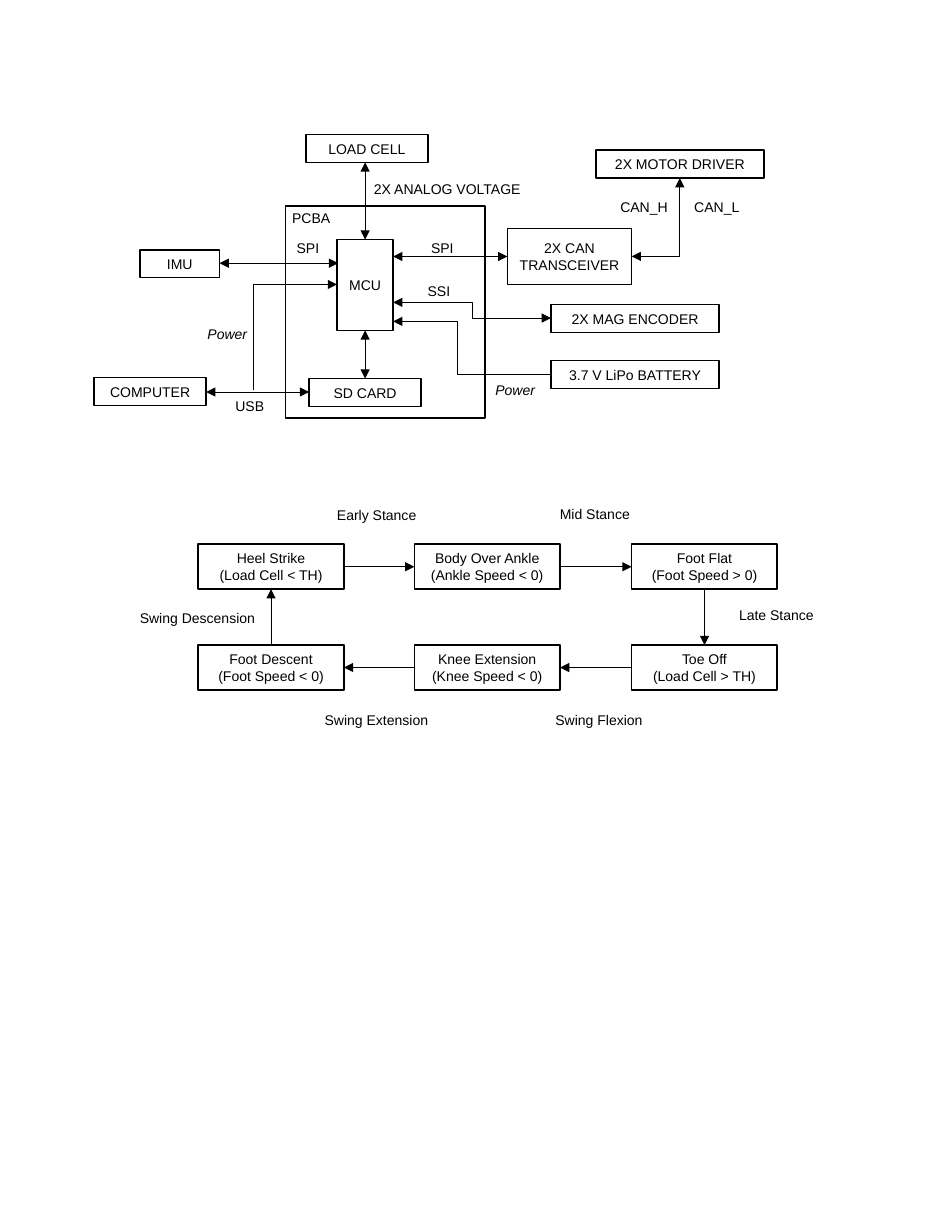
from dataclasses import dataclass

from lxml import etree
from pptx import Presentation
from pptx import util as u
from pptx.dml import color
from pptx.enum import shapes, text
from pptx.oxml import ns


@dataclass
class Theme:
    """Colours, type and line weights."""
    ink: color.RGBColor = color.RGBColor(0, 0, 0)
    font: str = "Arial"
    size: u.Pt = u.Pt(9)
    edge: u.Pt = u.Pt(1)
    wire: u.Pt = u.Pt(0.5)


T = Theme()
KINDS = shapes.MSO_CONNECTOR


def write(frame, words, center=False, italic=False, wrap=True):
    """Put styled words in a text frame."""
    frame.word_wrap = wrap
    para = frame.paragraphs[0]
    para.text = words
    para.alignment = text.PP_ALIGN.CENTER if center else text.PP_ALIGN.LEFT
    for run in para.runs:
        run.font.name = T.font
        run.font.size = T.size
        run.font.italic = italic
        run.font.color.rgb = T.ink


def box(slide, words, x, y, w, h=0.25):
    """Draw an outlined box with centred words."""
    rect = slide.shapes.add_shape(
        shapes.MSO_SHAPE.RECTANGLE, *map(u.Inches, (x, y, w, h)))
    rect.shadow.inherit = False
    rect.fill.background()
    rect.line.color.rgb = T.ink
    rect.line.width = T.edge
    if words:
        frame = rect.text_frame
        frame.margin_left = frame.margin_right = 0
        frame.vertical_anchor = text.MSO_ANCHOR.MIDDLE
        write(frame, words, center=True)


def label(slide, words, x, y, w, **form):
    """Place free words on the slide."""
    area = slide.shapes.add_textbox(*map(u.Inches, (x, y, w, 0.25)))
    area.text_frame.auto_size = text.MSO_AUTO_SIZE.SHAPE_TO_FIT_TEXT
    write(area.text_frame, words, **form)


def arrow(slide, start, end, ends=("head", "tail"), kind=KINDS.STRAIGHT):
    """Join two points, with arrowheads at the named ends."""
    link = slide.shapes.add_connector(kind, *map(u.Inches, (*start, *end)))
    link.line.color.rgb = T.ink
    link.line.width = T.wire
    line = link.line._get_or_add_ln()
    for name in ends:
        etree.SubElement(line, ns.qn(f"a:{name}End"), type="triangle")
    etree.SubElement(link._element.spPr, ns.qn("a:effectLst"))
    return link


def bend(slide, start, end, ends=("head", "tail"), turn=None):
    """Join two points by an elbow; turn is the share of its middle leg."""
    link = arrow(slide, start, end, ends, KINDS.ELBOW)
    geom = link._element.spPr.find(ns.qn("a:prstGeom"))
    if turn is None:
        geom.set("prst", "bentConnector2")
        return
    list_ = geom.find(ns.qn("a:avLst"))
    if list_ is None:
        list_ = etree.SubElement(geom, ns.qn("a:avLst"))
    etree.SubElement(list_, ns.qn("a:gd"), name="adj1",
                     fmla=f"val {round(turn * 100000)}")


def wiring(slide):
    """Draw the block diagram of the board."""
    for part in (
        ("MCU", 3.01, 2.14, 0.5, 0.81),
        ("2X MOTOR DRIVER", 5.32, 1.34, 1.5),
        ("IMU", 1.25, 2.23, 0.71),
        ("SD CARD", 2.76, 3.38, 1),
        ("COMPUTER", 0.84, 3.37, 1),
        ("", 2.55, 1.84, 1.78, 1.89),
        ("2X MAG ENCODER", 4.92, 2.72, 1.5),
        ("2X CAN\nTRANSCEIVER", 4.53, 2.04, 1.11, 0.5),
        ("LOAD CELL", 2.73, 1.2, 1.09),
        ("3.7 V LiPo BATTERY", 4.92, 3.22, 1.5),
    ):
        box(slide, *part)
    for start, end in (
        ((3.26, 2.95), (3.26, 3.38)),
        ((1.84, 3.5), (2.76, 3.5)),
        ((1.96, 2.35), (3.02, 2.35)),
        ((4.53, 2.29), (3.51, 2.29)),
        ((3.26, 1.45), (3.26, 2.14)),
    ):
        arrow(slide, start, end)
    bend(slide, (3.51, 2.7), (4.92, 2.84), turn=0.5)
    bend(slide, (4.92, 3.34), (3.51, 2.87), ["tail"], turn=0.59)
    bend(slide, (3.01, 2.54), (2.26, 3.48), ["head"])
    bend(slide, (5.64, 2.29), (6.07, 1.59))
    for name in (
        ("CAN_H", 5.44, 1.72, 0.63),
        ("CAN_L", 6.1, 1.72, 0.63),
        ("SSI", 3.72, 2.47, 0.41),
        ("SPI", 2.55, 2.09, 0.41),
        ("SPI", 3.75, 2.09, 0.41),
        ("PCBA", 2.51, 1.82, 0.55),
        ("2X ANALOG VOLTAGE", 3.24, 1.56, 1.55),
    ):
        label(slide, *name, wrap=False)
    label(slide, "USB", 1.91, 3.5, 0.64, center=True)
    for x, y in ((4.28, 3.36), (1.71, 2.86)):
        label(slide, "Power", x, y, 0.64, center=True, italic=True)


def gait(slide):
    """Draw the cycle of gait states."""
    wide, high = 1.3, 0.4
    cols, rows = (1.77, 3.7, 5.64), (4.86, 5.76)
    states = (
        ("Heel Strike\n(Load Cell < TH)", "Body Over Ankle\n(Ankle Speed < 0)",
         "Foot Flat\n(Foot Speed > 0)"),
        ("Foot Descent\n(Foot Speed < 0)", "Knee Extension\n(Knee Speed < 0)",
         "Toe Off\n(Load Cell > TH)"),
    )
    for y, names in zip(rows, states):
        for x, words in zip(cols, names):
            box(slide, words, x, y, wide, high)
    top, low = (y + high / 2 for y in rows)
    for x, after in zip(cols, cols[1:]):
        arrow(slide, (x + wide, top), (after, top), ["tail"])
        arrow(slide, (after, low), (x + wide, low), ["tail"])
    left, right = cols[0] + wide / 2, cols[-1] + wide / 2
    arrow(slide, (right, rows[0] + high), (right, rows[1]), ["tail"])
    arrow(slide, (left, rows[1]), (left, rows[0] + high), ["tail"])
    for name in (
        ("Early Stance", 2.91, 4.47, 0.92),
        ("Mid Stance", 4.9, 4.46, 0.83),
        ("Late Stance", 6.5, 5.37, 0.88),
        ("Swing Flexion", 4.86, 6.3, 0.99),
        ("Swing Extension", 2.8, 6.3, 1.13),
        ("Swing Descension", 1.15, 5.39, 1.24),
    ):
        label(slide, *name, wrap=False)


def main():
    """Build and save the slide."""
    deck = Presentation()
    deck.slide_width, deck.slide_height = u.Inches(8.5), u.Inches(11)
    slide = deck.slides.add_slide(deck.slide_layouts[6])
    wiring(slide)
    gait(slide)
    deck.save("out.pptx")


if __name__ == "__main__":
    main()
